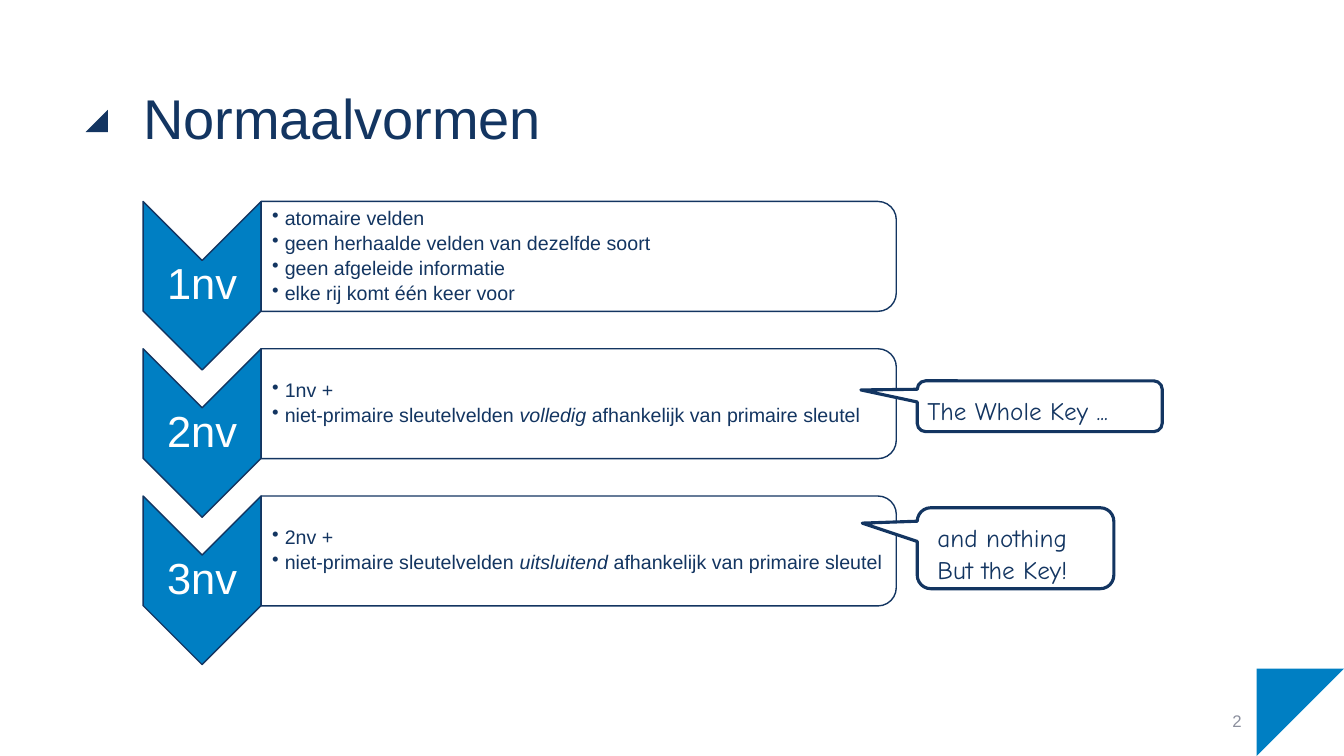
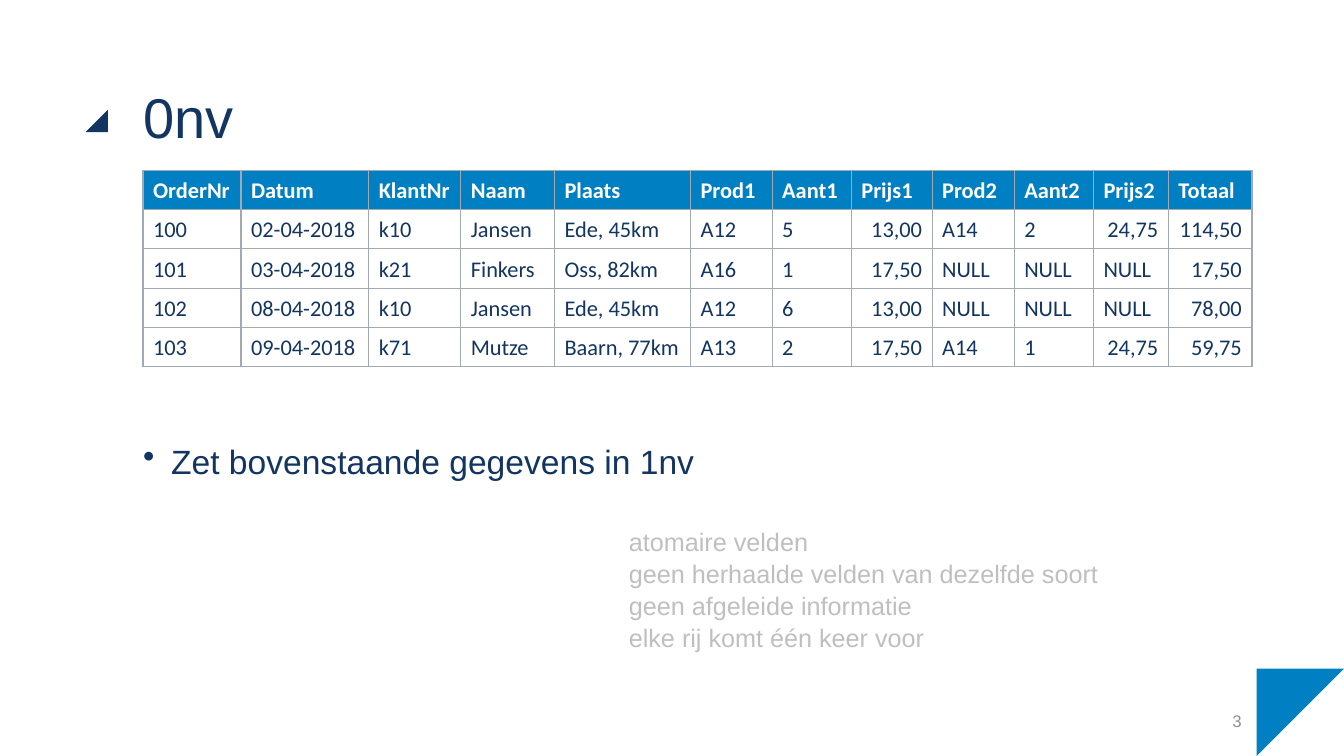
from lxml import etree
from pptx import Presentation
from pptx.dml.color import RGBColor
from pptx.enum import shapes, text
from pptx.oxml import ns
from pptx.util import Pt


class Theme:
    navy, blue, white = "133561", "007FC3", "FFFFFF"
    gray, pale, rule = "8C909E", "BFBFBF", "A2A9B1"
    sans, grid, hand = "Arial", "Calibri", "Comic Neue"
    title, step, body, note, cell, small, foot = 40, 31, 24, 18, 16, 14, 12
    left = 102.2


kind = shapes.MSO_SHAPE
side = text.PP_ALIGN
mid, top = text.MSO_ANCHOR.MIDDLE, text.MSO_ANCHOR.TOP


def write(frame, lines, size, color=Theme.navy, font=Theme.sans, bold=False,
          align=side.LEFT, anchor=top, pad=(7.2, 3.6, 7.2, 3.6),
          lead=1.0, after=0, hang=0):
    frame.word_wrap = True
    frame.vertical_anchor = anchor
    (frame.margin_left, frame.margin_top,
     frame.margin_right, frame.margin_bottom) = [Pt(p) for p in pad]
    for i, line in enumerate(lines.split("\n")):
        para = frame.paragraphs[0] if i == 0 else frame.add_paragraph()
        para.alignment, para.line_spacing = align, lead
        para.space_before, para.space_after = Pt(0), Pt(after)
        if hang:
            prop = para._p.get_or_add_pPr()
            prop.set("marL", str(Pt(hang)))
            prop.set("indent", str(-Pt(hang)))
            etree.SubElement(prop, ns.qn("a:buChar")).set("char", "•")
        for j, part in enumerate(line.split("*")):
            run = para.add_run()
            run.text = part
            run.font.size, run.font.name = Pt(size), font
            run.font.bold, run.font.italic = bold, j % 2 == 1
            run.font.color.rgb = RGBColor.from_string(color)


def draw(slide, form, x, y, w, h, fill, line=0, turn=0):
    if turn % 180:
        x, y, w, h = x + (w - h) / 2, y + (h - w) / 2, h, w
    shape = slide.shapes.add_shape(form, Pt(x), Pt(y), Pt(w), Pt(h))
    shape.rotation = turn
    shape.shadow.inherit = False
    shape.fill.solid()
    shape.fill.fore_color.rgb = RGBColor.from_string(fill)
    if line:
        shape.line.color.rgb = RGBColor.from_string(Theme.navy)
        shape.line.width = Pt(line)
    else:
        shape.line.fill.background()
    return shape


deck = Presentation()
deck.slide_width, deck.slide_height = Pt(960), Pt(540)
pages = []
for page, (name, y) in enumerate([("Normaalvormen", 57.6), ("0nv", 56.6)], 2):
    slide = deck.slides.add_slide(deck.slide_layouts[5])
    head = slide.shapes.title
    head.left, head.top, head.width, head.height = Pt(Theme.left), Pt(y), Pt(777), Pt(102)
    write(head.text_frame, name, Theme.title, pad=(0, 0, 0, 0), lead=1.05)
    head.text_frame.auto_size = text.MSO_AUTO_SIZE.NONE
    draw(slide, kind.RIGHT_TRIANGLE, 61.2, 78.5, 15.8, 15.8, Theme.navy, turn=270)
    draw(slide, kind.RIGHT_TRIANGLE, 897.6, 477.6, 62.4, 62.4, Theme.blue, turn=90)
    foot = slide.shapes.add_textbox(Pt(678), Pt(500.4), Pt(216), Pt(28.8))
    write(foot.text_frame, str(page), Theme.foot, Theme.gray, align=side.RIGHT, anchor=mid)
    pages.append(slide)
forms, zero = pages

rules = """atomaire velden
geen herhaalde velden van dezelfde soort
geen afgeleide informatie
elke rij komt één keer voor"""
steps = [
    ("1nv", rules),
    ("2nv", "1nv +\nniet-primaire sleutelvelden *volledig *afhankelijk van primaire sleutel"),
    ("3nv", "2nv +\nniet-primaire sleutelvelden *uitsluitend *afhankelijk van primaire sleutel"),
]
wide = 84.3
edge = Theme.left + wide
for i, (name, lines) in enumerate(steps):
    y = 143.9 + i * 105.2
    draw(forms, kind.CHEVRON, Theme.left, y, wide, 120.4, Theme.blue, 1, 90)
    tag = forms.shapes.add_textbox(Pt(Theme.left), Pt(y + 42.2), Pt(wide), Pt(36))
    write(tag.text_frame, name, Theme.step, Theme.white, align=side.CENTER,
          anchor=mid, pad=(1.4, 1.4, 1.4, 1.4), lead=0.9)
    draw(forms, kind.ROUND_2_SAME_RECTANGLE, edge, y, 453.7, 78.5, Theme.white, 1, 90)
    box = forms.shapes.add_textbox(Pt(edge), Pt(y + 3.9), Pt(450), Pt(70.6))
    write(box.text_frame, lines, Theme.small, anchor=mid,
          pad=(7.9, 0.7, 0.7, 0.7), lead=0.9, after=2.8, hang=9)

for lines, y, w, h, tip, pad in [
    ("The Whole Key ...", 272, 175, 36.3, (-0.73, -0.32), (5.4, 7.6, 0, 0)),
    ("and nothing\nBut the Key!", 362.7, 140.4, 57.8, (-0.78, -0.31), (11.6, 6.6, 0, 0)),
]:
    call = draw(forms, kind.ROUNDED_RECTANGULAR_CALLOUT, 655.2, y, w, h, Theme.white, 2.25)
    call.adjustments[0], call.adjustments[1] = tip
    write(call.text_frame, lines, Theme.note, font=Theme.hand, pad=pad, lead=1.05)

rows = [row.split("|") for row in """\
OrderNr|Datum|KlantNr|Naam|Plaats|Prod1|Aant1|Prijs1|Prod2|Aant2|Prijs2|Totaal
100|02-04-2018|k10|Jansen|Ede, 45km|A12|5|13,00|A14|2|24,75|114,50
101|03-04-2018|k21|Finkers|Oss, 82km|A16|1|17,50|NULL|NULL|NULL|17,50
102|08-04-2018|k10|Jansen|Ede, 45km|A12|6|13,00|NULL|NULL|NULL|78,00
103|09-04-2018|k71|Mutze|Baarn, 77km|A13|2|17,50|A14|1|24,75|59,75""".split("\n")]
cols = [70, 91.2, 65.8, 66.9, 97.2, 58.3, 56.6, 57.7, 58.7, 56.6, 53.5, 59.7]
tall = 28.1
table = zero.shapes.add_table(len(rows), len(cols), Pt(Theme.left), Pt(121.6),
                              Pt(sum(cols)), Pt(tall * len(rows))).table
table.horz_banding = False
for col, w in zip(table.columns, cols):
    col.width = Pt(w)
for r, row in enumerate(rows):
    table.rows[r].height = Pt(tall)
    for c, value in enumerate(row):
        cell = table.cell(r, c)
        cell.fill.solid()
        cell.fill.fore_color.rgb = RGBColor.from_string(Theme.white if r else Theme.blue)
        price = value.replace(",", "").isdigit() and "," in value
        write(cell.text_frame, value, Theme.cell, Theme.navy if r else Theme.white,
              Theme.grid, bold=r == 0, align=side.RIGHT if price else side.LEFT, lead=1.07)
        cell.vertical_anchor = mid
        prop = cell._tc.get_or_add_tcPr()
        for i, mark in enumerate("LRTB"):
            line = etree.Element(ns.qn("a:ln" + mark), w=str(Pt(1)))
            fill = etree.SubElement(line, ns.qn("a:solidFill"))
            etree.SubElement(fill, ns.qn("a:srgbClr")).set("val", Theme.rule)
            prop.insert(i, line)

task = zero.shapes.add_textbox(Pt(Theme.left), Pt(308.9), Pt(777), Pt(175.7))
write(task.text_frame, "Zet bovenstaande gegevens in 1nv", Theme.body,
      pad=(0, 0, 0, 0), lead=1.2, hang=20)
hint = zero.shapes.add_textbox(Pt(442.1), Pt(371.5), Pt(364.3), Pt(94.3))
write(hint.text_frame, rules, Theme.note, Theme.pale, lead=1.05)

deck.save("out.pptx")
